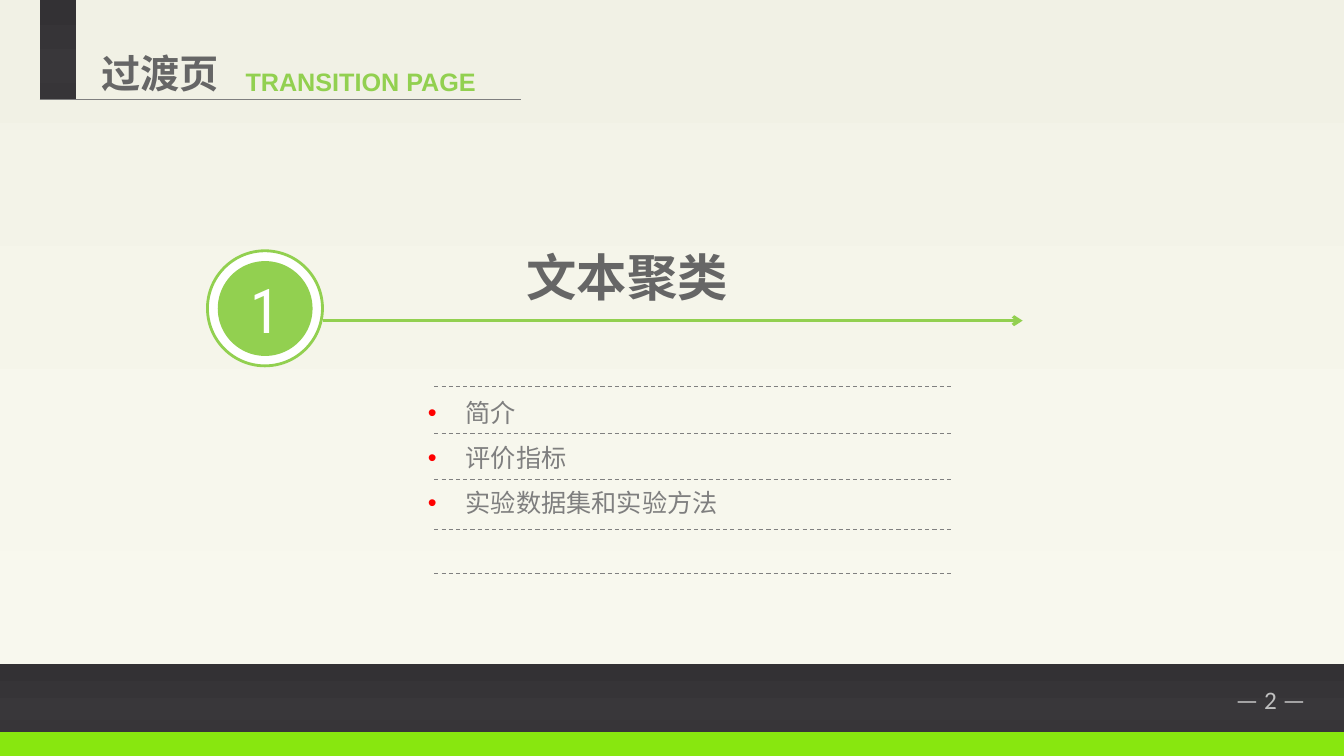
"""Build the transition slide that opens the text clustering section."""
from dataclasses import dataclass, field

from lxml.etree import SubElement
from pptx import Presentation
from pptx.dml.color import RGBColor
from pptx.enum.dml import MSO_LINE
from pptx.enum.shapes import MSO_CONNECTOR, MSO_SHAPE
from pptx.enum.text import MSO_ANCHOR, MSO_AUTO_SIZE, PP_ALIGN
from pptx.oxml import parse_xml
from pptx.oxml.ns import nsdecls, qn
from pptx.util import Cm, Pt


@dataclass(frozen=True)
class Theme:
    green: str = "92D050"
    footer_green: str = "88E70F"
    white: str = "FFFFFF"
    heading: str = "666666"
    body: str = "7F7F7F"
    dash: str = "808080"
    page_number: str = "BFBFBF"
    bullet: str = "FF0000"
    paper: tuple = ((0, "F1F1E5"), (74, "F7F7ED"), (83, "F8F8EE"), (100, "F9F9EF"))
    charcoal: tuple = ((0, "333134"), (74, "39373A"), (83, "373538"), (100, "363436"))
    chinese_font: str = "Noto Sans CJK SC"
    english_font: str = "Arial"
    number_font: str = "Calibri"
    badge_font: str = "Roboto Condensed"
    body_size: int = 18
    title_size: int = 28
    heading_size: int = 36
    badge_size: int = 44


THEME = Theme()
WIDTH, HEIGHT = 33.88, 19.05
FOOTER_TOP, STRIPE_TOP = 16.74, 18.44


@dataclass(frozen=True)
class Box:
    left: float
    top: float
    width: float
    height: float

    def lengths(self) -> tuple:
        return tuple(Cm(value) for value in (self.left, self.top, self.width, self.height))


@dataclass(frozen=True)
class Panel:
    box: Box
    fill: str | tuple
    kind: MSO_SHAPE = MSO_SHAPE.RECTANGLE
    outline: str | None = None


@dataclass(frozen=True)
class Label:
    box: Box
    lines: tuple
    font: str
    size: int
    color: str
    bold: bool = False
    paragraph_format: dict = field(default_factory=dict)
    bulleted: bool = False
    anchor: MSO_ANCHOR = MSO_ANCHOR.TOP


@dataclass(frozen=True)
class Rule:
    left: float
    right: float
    y: float
    color: str
    width: float = 0.75
    dashed: bool = False
    arrow: bool = False


PANELS = (
    Panel(Box(0, 0, WIDTH, FOOTER_TOP), THEME.paper),
    Panel(Box(0, STRIPE_TOP, WIDTH, HEIGHT - STRIPE_TOP), THEME.footer_green),
    Panel(Box(0, FOOTER_TOP, WIDTH, STRIPE_TOP - FOOTER_TOP), THEME.charcoal),
    Panel(Box(1, 0, 0.93, 2.51), THEME.charcoal),
    Panel(Box(5.23, 6.32, 2.9, 2.9), THEME.white, MSO_SHAPE.OVAL, THEME.green),
)
BADGE = Panel(Box(5.49, 6.58, 2.39, 2.39), THEME.green, MSO_SHAPE.OVAL)
BADGE_LABEL = Label(BADGE.box, ("1",), THEME.badge_font, THEME.badge_size, THEME.white,
                    paragraph_format={"alignment": PP_ALIGN.CENTER}, anchor=MSO_ANCHOR.MIDDLE)
TITLE = Label(Box(2.31, 1.12, 4.04, 1.45), ("过渡页",), THEME.chinese_font,
              THEME.title_size, THEME.heading, True, {"alignment": PP_ALIGN.LEFT})
LABELS = (
    Label(Box(5.94, 1.55, 6.81, 1.02), ("TRANSITION PAGE",), THEME.english_font,
          THEME.body_size, THEME.green, True),
    Label(Box(8.56, 6.07, 14.5, 1.8), ("文本聚类",), THEME.chinese_font,
          THEME.heading_size, THEME.heading, True, {"alignment": PP_ALIGN.CENTER}),
    Label(Box(10.54, 9.53, 13.44, 3.8), ("简介", "评价指标", "实验数据集和实验方法"),
          THEME.chinese_font, THEME.body_size, THEME.body,
          paragraph_format={"line_spacing": Pt(32)}, bulleted=True),
    Label(Box(30.9, 17.12, 2.9, 1.02), ("— 2 —",), THEME.number_font,
          THEME.body_size, THEME.page_number),
)
RULES = (
    Rule(1, 13.13, 2.51, THEME.body),
    Rule(8.13, 25.78, 8.08, THEME.green, 2.25, arrow=True),
    *(Rule(10.95, 23.98, y, THEME.dash, dashed=True)
      for y in (9.73, 10.92, 12.09, 13.34, 14.45)),
)


def set_attributes(target, values: dict) -> None:
    for name, value in values.items():
        setattr(target, name, value)


def add_panel(slide, panel: Panel):
    shape = slide.shapes.add_shape(panel.kind, *panel.box.lengths())
    shape.shadow.inherit = False
    if isinstance(panel.fill, str):
        shape.fill.solid()
        shape.fill.fore_color.rgb = RGBColor.from_string(panel.fill)
    else:
        stops = "".join(f'<a:gs pos="{position * 1000}"><a:srgbClr val="{color}"/></a:gs>'
                        for position, color in panel.fill)
        geometry = shape.element.spPr.find(qn("a:prstGeom"))
        geometry.addnext(parse_xml(f'<a:gradFill {nsdecls("a")}><a:gsLst>{stops}</a:gsLst>'
                                   '<a:lin ang="5400000" scaled="0"/></a:gradFill>'))
    if panel.outline:
        shape.line.color.rgb = RGBColor.from_string(panel.outline)
        shape.line.width = Pt(2)
    else:
        shape.line.fill.background()
    return shape


def add_bullet(paragraph) -> None:
    properties = paragraph._p.get_or_add_pPr()
    indent = Cm(0.95)
    properties.set("marL", str(indent))
    properties.set("indent", str(-indent))
    color = SubElement(properties, qn("a:buClr"))
    SubElement(color, qn("a:srgbClr"), val=THEME.bullet)
    SubElement(properties, qn("a:buFont"), typeface=THEME.english_font)
    SubElement(properties, qn("a:buChar"), char="•")


def write_label(shape, label: Label) -> None:
    frame = shape.text_frame
    frame.text = "\n".join(label.lines)
    set_attributes(frame, {"word_wrap": True, "auto_size": MSO_AUTO_SIZE.NONE,
                           "vertical_anchor": label.anchor})
    for paragraph in frame.paragraphs:
        set_attributes(paragraph, label.paragraph_format)
        if label.bulleted:
            add_bullet(paragraph)
        for run in paragraph.runs:
            set_attributes(run.font, {"name": label.font, "size": Pt(label.size),
                                      "bold": label.bold})
            run.font.color.rgb = RGBColor.from_string(label.color)
            latin = run.font._element.find(qn("a:latin"))
            latin.addnext(parse_xml(f'<a:ea {nsdecls("a")} typeface="{label.font}"/>'))


def place_title(slide, label: Label) -> None:
    title = slide.shapes.title
    set_attributes(title, dict(zip(("left", "top", "width", "height"), label.box.lengths())))
    write_label(title, label)
    title.element.getparent().append(title.element)


def add_rule(slide, rule: Rule) -> None:
    connector = slide.shapes.add_connector(
        MSO_CONNECTOR.STRAIGHT, Cm(rule.left), Cm(rule.y), Cm(rule.right), Cm(rule.y))
    connector.line.color.rgb = RGBColor.from_string(rule.color)
    connector.line.width = Pt(rule.width)
    if rule.dashed:
        connector.line.dash_style = MSO_LINE.DASH
    properties = connector.element.spPr
    if rule.arrow:
        SubElement(properties.find(qn("a:ln")), qn("a:tailEnd"), type="arrow")
    SubElement(properties, qn("a:effectLst"))


def main() -> None:
    presentation = Presentation()
    set_attributes(presentation, {"slide_width": Cm(WIDTH), "slide_height": Cm(HEIGHT)})
    slide = presentation.slides.add_slide(presentation.slide_layouts[5])
    for panel in PANELS:
        add_panel(slide, panel)
    write_label(add_panel(slide, BADGE), BADGE_LABEL)
    place_title(slide, TITLE)
    for label in LABELS:
        write_label(slide.shapes.add_textbox(*label.box.lengths()), label)
    for rule in RULES:
        add_rule(slide, rule)
    presentation.save("out.pptx")


if __name__ == "__main__":
    main()
